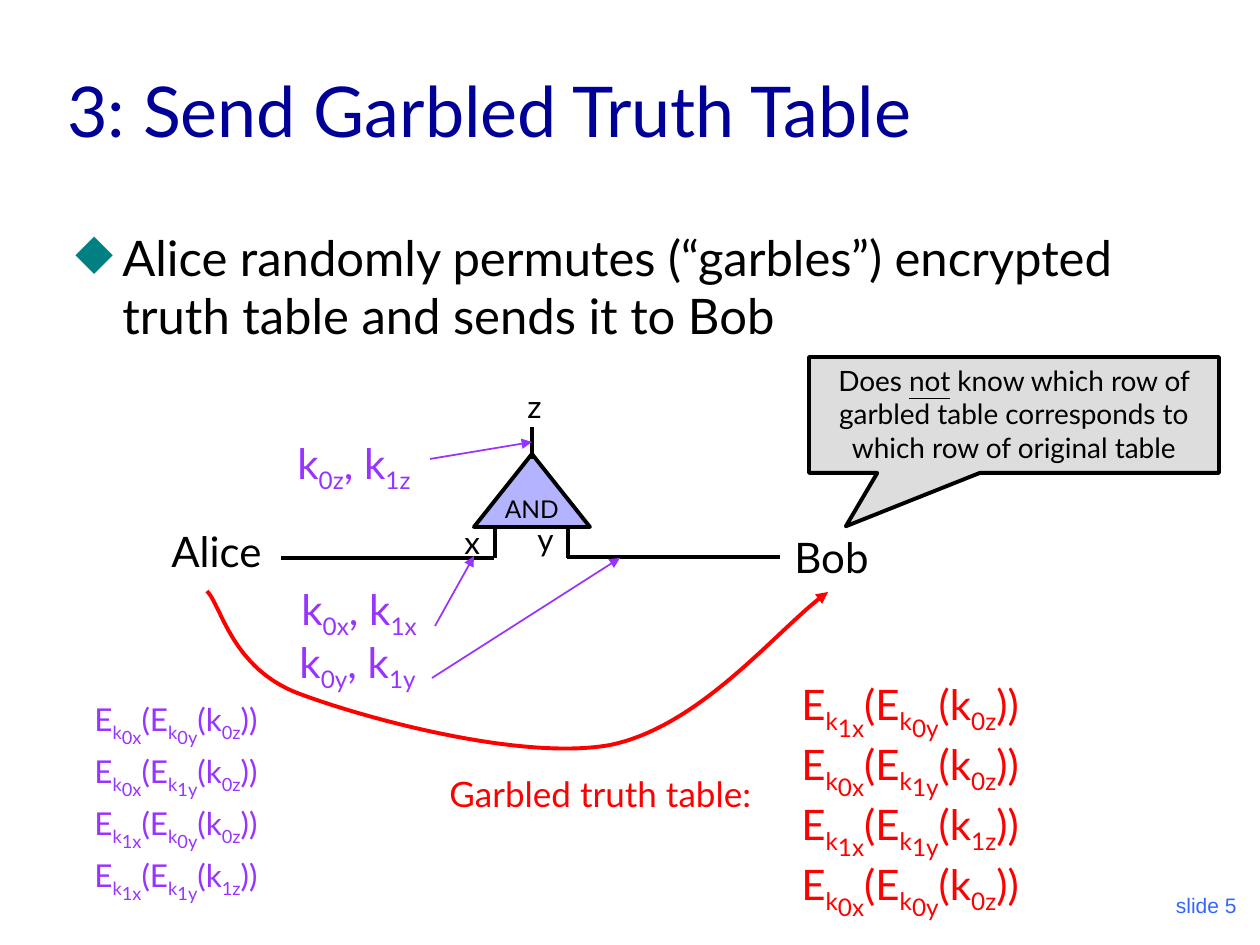
from dataclasses import dataclass, field
from typing import Any

import lxml.etree
import pptx
import pptx.dml.color
import pptx.enum.shapes
import pptx.enum.text
import pptx.oxml
import pptx.oxml.ns
import pptx.util

PX = 914400 / 126
RGB = pptx.dml.color.RGBColor
BLACK, NAVY, TEAL = RGB(0, 0, 0), RGB(0, 0, 0x99), RGB(0, 0x80, 0x80)
PURPLE, RED, BLUE = RGB(0x99, 0x33, 0xFF), RGB(0xFF, 0, 0), RGB(0x33, 0x66, 0xFF)
GATE_FILL, CALLOUT_FILL = RGB(0xB3, 0xB3, 0xFF), RGB(0xDD, 0xDD, 0xDD)
ANCHOR = pptx.enum.text.MSO_ANCHOR
ALIGN = pptx.enum.text.PP_ALIGN
SHAPE = pptx.enum.shapes.MSO_SHAPE
FIT = {"word_wrap": False, "auto_size": pptx.enum.text.MSO_AUTO_SIZE.SHAPE_TO_FIT_TEXT}
SUB, SUBSUB = -25, -40

Run = tuple[str, int]  # wording and baseline shift in percent


@dataclass(frozen=True)
class Label:
    box: tuple[int, int, int, int]
    runs: list[Run]
    size: int
    color: RGB = BLACK
    font: str = "Lato"
    align: Any = ALIGN.LEFT
    before: float = 0
    frame: dict[str, Any] = field(default_factory=lambda: FIT)


@dataclass(frozen=True)
class Wire:
    start: tuple[int, int]
    end: tuple[int, int]
    color: RGB = BLACK
    width: float = 2.25
    arrow: bool = False


def emu(*lengths: int) -> list[int]:
    return [round(length * PX) for length in lengths]


def plain(text: str) -> list[Run]:
    return [(text, 0)]


def key_pair(wire: str) -> list[Run]:
    return [("k", 0), (f"0{wire}", SUB), (", k", 0), (f"1{wire}", SUB)]


def cipher(x: int, y: int) -> list[Run]:
    """Runs of one AND row: its output key encrypted under both input keys."""
    return [("E", 0), ("k", SUB), (f"{x}x", SUBSUB),
            ("(E", 0), ("k", SUB), (f"{y}y", SUBSUB),
            ("(k", 0), (f"{x & y}z", SUB), ("))", 0)]


def set_all(target: Any, formats: dict[str, Any]) -> None:
    for name, value in formats.items():
        setattr(target, name, value)


def write(shape: Any, label: Label) -> Any:
    """Fill a shape with the label's runs and return the paragraph."""
    set_all(shape.text_frame, label.frame)
    paragraph = shape.text_frame.paragraphs[0]
    set_all(paragraph, {"alignment": label.align,
                        "space_before": pptx.util.Pt(label.before)})
    for text, shift in label.runs:
        run = paragraph.add_run()
        run.text = text
        set_all(run.font, {"size": pptx.util.Pt(label.size), "name": label.font})
        run.font.color.rgb = label.color
        if shift:
            run._r.get_or_add_rPr().set("baseline", str(shift * 1000))
    return paragraph


def add_label(slide: Any, label: Label) -> Any:
    return write(slide.shapes.add_textbox(*emu(*label.box)), label)


def add_block(slide: Any, kind: Any, fill: RGB, label: Label) -> Any:
    block = slide.shapes.add_shape(kind, *emu(*label.box))
    block.shadow.inherit = False
    block.fill.solid()
    block.fill.fore_color.rgb = fill
    style_line(block.line, BLACK, 2.25)
    write(block, label)
    return block


def style_line(line: Any, color: RGB, width: float, arrow: bool = False) -> None:
    line.color.rgb = color
    line.width = pptx.util.Pt(width)
    if arrow:
        tail = lxml.etree.SubElement(line._get_or_add_ln(), pptx.oxml.ns.qn("a:tailEnd"))
        tail.set("type", "triangle")


def add_wire(slide: Any, wire: Wire) -> None:
    connector = slide.shapes.add_connector(
        pptx.enum.shapes.MSO_CONNECTOR.STRAIGHT, *emu(*wire.start, *wire.end))
    style_line(connector.line, wire.color, wire.width, wire.arrow)
    lxml.etree.SubElement(connector._element.spPr, pptx.oxml.ns.qn("a:effectLst"))


def add_curve(slide: Any, points: list[tuple[int, int]], color: RGB) -> None:
    """Draw a Bézier arrow: a start, then two controls and an end per segment."""
    builder = slide.shapes.build_freeform(*points[0], scale=PX)
    builder.add_line_segments(points[1:], close=False)
    curve = builder.convert_to_shape()
    segments = list(curve._element.iter(pptx.oxml.ns.qn("a:lnTo")))
    for first in range(0, len(segments), 3):
        bezier = pptx.oxml.parse_xml(
            f'<a:cubicBezTo {pptx.oxml.ns.nsdecls("a")}/>')
        segments[first].addprevious(bezier)
        for segment in segments[first:first + 3]:
            bezier.append(segment[0])
            segment.getparent().remove(segment)
    curve.fill.background()
    curve.shadow.inherit = False
    style_line(curve.line, color, 2.25, arrow=True)


def add_bullet(paragraph: Any, indent: int, color: RGB) -> None:
    properties = paragraph._p.get_or_add_pPr()
    properties.set("marL", str(emu(indent)[0]))
    properties.set("indent", str(-emu(indent)[0]))
    namespace = pptx.oxml.ns.nsdecls("a")
    properties.append(pptx.oxml.parse_xml(
        f'<a:buClr {namespace}><a:srgbClr val="{color}"/></a:buClr>'))
    properties.append(pptx.oxml.parse_xml(f'<a:buChar {namespace} char="◆"/>'))


LABELS = [
    Label((987, 861, 262, 63), plain("slide 5"), 12, BLUE, "Arial", ALIGN.RIGHT, 7.5,
          {"word_wrap": True, "vertical_anchor": ANCHOR.BOTTOM}),
    Label((55, 32, 1162, 126), plain("3: Send Garbled Truth Table"), 40, NAVY,
          frame={"word_wrap": True, "vertical_anchor": ANCHOR.BOTTOM}),
    Label((452, 517, 42, 50), plain("x"), 18, before=4.5),
    Label((525, 514, 42, 50), plain("y"), 18, before=4.5),
    Label((515, 381, 39, 50), plain("z"), 18, before=4.5),
    Label((159, 519, 117, 63), plain("Alice"), 24, before=6),
    Label((782, 525, 103, 63), plain("Bob"), 24, before=6),
    Label((285, 431, 142, 71), key_pair("z"), 24, PURPLE, before=6),
    Label((289, 577, 146, 71), key_pair("x"), 24, PURPLE, before=6),
    Label((287, 630, 145, 71), key_pair("y"), 24, PURPLE, before=6),
    Label((437, 766, 350, 55), plain("Garbled truth table:"), 20, RED, before=5),
]
CLAIM = Label((63, 221, 1155, 693),
              plain("Alice randomly permutes (“garbles”) encrypted truth table "
                    "and sends it to Bob"), 28, before=7, frame={"word_wrap": True})
GATE = Label((474, 454, 116, 73), plain("AND"), 14, align=ALIGN.CENTER, before=3.5,
             frame={"word_wrap": False, "vertical_anchor": ANCHOR.MIDDLE})
CALLOUT = Label((809, 357, 410, 116),
                [("Does ", 0), ("not", 0),
                 (" know which row of garbled table corresponds to which row "
                  "of original table", 0)], 16, align=ALIGN.CENTER, before=4,
                frame={"word_wrap": True, "vertical_anchor": ANCHOR.TOP})
WIRES = [
    Wire((495, 527), (495, 558)),
    Wire((568, 527), (568, 558)),
    Wire((532, 427), (532, 459)),
    Wire((494, 558), (281, 558)),
    Wire((780, 557), (567, 557)),
    Wire((430, 459), (532, 442), PURPLE, 1, True),
    Wire((435, 626), (474, 556), PURPLE, 1, True),
    Wire((432, 678), (620, 558), PURPLE, 1, True),
]
TRUTH_ROWS = [(0, 0), (0, 1), (1, 0), (1, 1)]
GARBLED_ROWS = [(1, 0), (0, 1), (1, 1), (0, 0)]
SEND_ARROW = [(207, 591), (222, 607), (232, 669), (300, 694), (367, 719),
              (522, 761), (610, 745), (698, 727), (782, 624), (828, 592)]


def main() -> None:
    deck = pptx.Presentation()
    deck.slide_width, deck.slide_height = emu(1260, 945)
    slide = deck.slides.add_slide(deck.slide_layouts[6])

    add_bullet(add_label(slide, CLAIM), 47, TEAL)
    add_block(slide, SHAPE.ISOSCELES_TRIANGLE, GATE_FILL, GATE)
    for wire in WIRES:
        add_wire(slide, wire)
    for label in LABELS:
        add_label(slide, label)
    for index, (truth, garbled) in enumerate(zip(TRUTH_ROWS, GARBLED_ROWS)):
        add_label(slide, Label((82, 694 + 52 * index, 193, 60), cipher(*truth),
                               18, PURPLE, before=4.5))
        add_label(slide, Label((789, 672 + 60 * index, 249, 77), cipher(*garbled),
                               24, RED, before=6))
    add_curve(slide, SEND_ARROW, RED)
    callout = add_block(slide, SHAPE.RECTANGULAR_CALLOUT, CALLOUT_FILL, CALLOUT)
    callout.adjustments[0], callout.adjustments[1] = -0.41, 0.96
    callout.text_frame.paragraphs[0].runs[1].font.underline = True
    deck.save("out.pptx")


if __name__ == "__main__":
    main()
